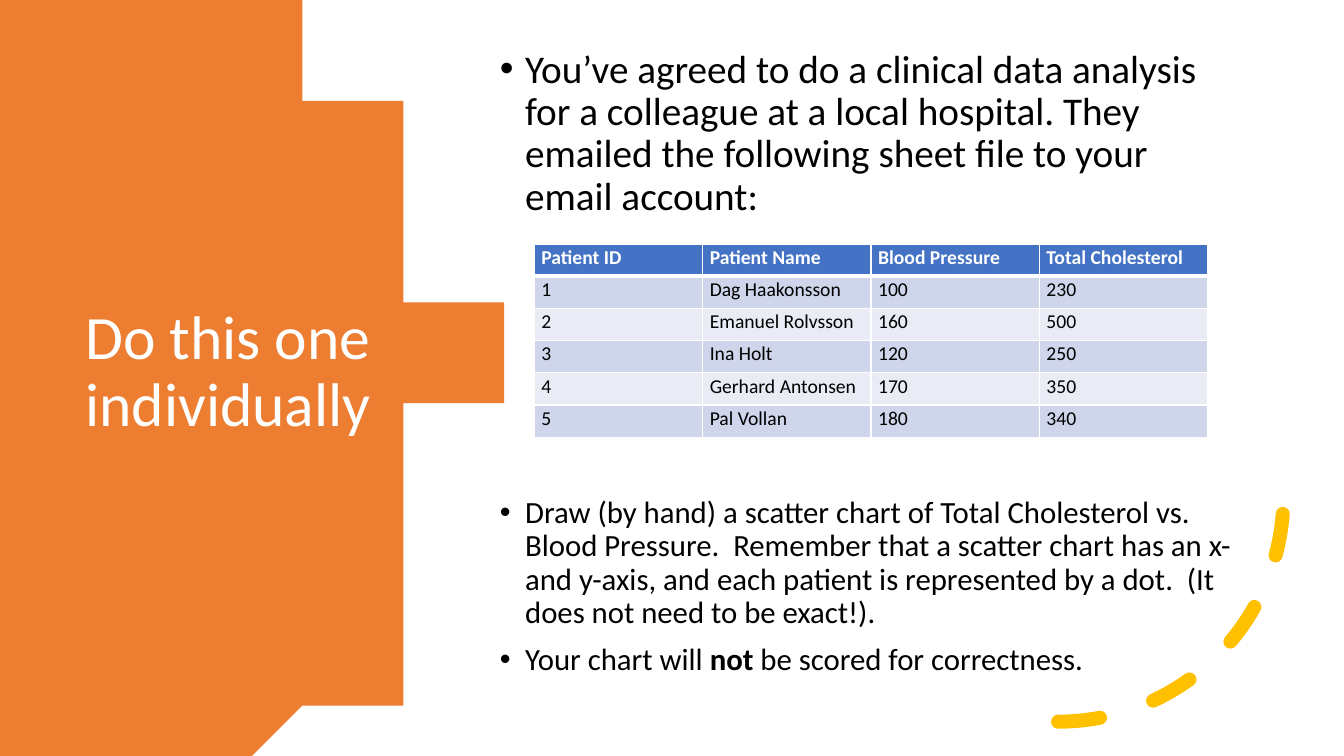
import math

from lxml import etree
from pptx import Presentation
from pptx.dml.color import RGBColor
from pptx.enum.dml import MSO_LINE
from pptx.enum.shapes import MSO_SHAPE
from pptx.enum.text import MSO_ANCHOR
from pptx.oxml.ns import qn
from pptx.util import Inches, Pt

ARC = MSO_SHAPE.ARC
DASH = MSO_LINE.DASH
TOP, MIDDLE = MSO_ANCHOR.TOP, MSO_ANCHOR.MIDDLE

FONT = "Calibri"
ORANGE, GOLD, BLUE = "ED7D31", "FFC000", "4472C4"
BANDS = ("CFD5EA", "E9EBF5")
WHITE, BLACK = "FFFFFF", "000000"

PATIENTS = [
    ("Patient ID", "Patient Name", "Blood Pressure", "Total Cholesterol"),
    ("1", "Dag Haakonsson", "100", "230"),
    ("2", "Emanuel Rolvsson", "160", "500"),
    ("3", "Ina Holt", "120", "250"),
    ("4", "Gerhard Antonsen", "170", "350"),
    ("5", "Pal Vollan", "180", "340"),
]
REQUEST = [
    [("You’ve agreed to do a clinical data analysis for a colleague at a local "
      "hospital. They emailed the following sheet file to your email account:", False)],
]
TASKS = [
    [("Draw (by hand) a scatter chart of Total Cholesterol vs. Blood Pressure.  "
      "Remember that a scatter chart has an x- and y-axis, and each patient is "
      "represented by a dot.  (It does not need to be exact!).", False)],
    [("Your chart will ", False), ("not", True), (" be scored for correctness.", False)],
]


def color(code):
    return RGBColor.from_string(code)


def write(para, text, size=22, fill=BLACK, bold=False, spacing=0.9):
    """Add one formatted span of text to a paragraph."""
    span = para.add_run()
    span.text = text
    span.font.name = FONT
    span.font.size = Pt(size)
    span.font.bold = bold
    span.font.color.rgb = color(fill)
    para.line_spacing = spacing


def add_text_frame(page, box, anchor):
    frame = page.shapes.add_textbox(*map(Inches, box)).text_frame
    frame.word_wrap = True
    frame.vertical_anchor = anchor
    return frame


def add_bullet(para):
    props = para._p.get_or_add_pPr()
    props.set("marL", str(Inches(0.25)))
    props.set("indent", str(-Inches(0.25)))
    etree.SubElement(props, qn("a:buFont")).set("typeface", "Arial")
    etree.SubElement(props, qn("a:buChar")).set("char", "•")


def add_title_panel(page, box):
    """Orange panel whose right edge is a circle arc, with the title on it."""
    left, top, width, height = box
    center_x, center_y = left + 0.15, top + height / 2
    radius = left + width - center_x
    reach = math.asin(height / 2 / radius)
    steps = 120
    angles = [reach * (2 * step / steps - 1) for step in range(steps + 1)]
    edge = [(center_x + radius * math.cos(angle), center_y + radius * math.sin(angle))
            for angle in angles]
    outline = page.shapes.build_freeform(left, top, scale=Inches(1))
    outline.add_line_segments(edge + [(left, top + height)], close=True)
    panel = outline.convert_to_shape()
    panel.shadow.inherit = False
    panel.fill.solid()
    panel.fill.fore_color.rgb = color(ORANGE)
    panel.line.fill.background()

    frame = add_text_frame(page, (left + 0.75, top + 1.26, 3.5, 4.88), MIDDLE)
    write(frame.paragraphs[0], "Do this one individually", size=44, fill=WHITE)


def add_dashed_arc(page, box):
    """Gold dashed quarter circle, flipped to the lower right."""
    arc = page.shapes.add_shape(ARC, *map(Inches, box))
    arc.shadow.inherit = False
    arc.fill.background()
    arc.line.color.rgb = color(GOLD)
    arc.line.width = Pt(10)
    arc.line.dash_style = DASH
    arc.line._get_or_add_ln().set("cap", "rnd")
    arc._element.spPr.find(qn("a:xfrm")).set("flipV", "1")


def add_bullets(page, box, items, size):
    frame = add_text_frame(page, box, TOP)
    frame.margin_top = 0
    for index, spans in enumerate(items):
        para = frame.add_paragraph() if index else frame.paragraphs[0]
        para.space_before = Pt(10 if index else 0)
        for text, bold in spans:
            write(para, text, size=size, bold=bold)
        add_bullet(para)


def add_borders(cell, widths):
    """White cell borders; widths are points for left, right, top, bottom."""
    props = cell._tc.get_or_add_tcPr()
    for index, (side, width) in enumerate(zip("LRTB", widths)):
        border = etree.Element(qn(f"a:ln{side}"), w=str(Pt(width)))
        solid = etree.SubElement(border, qn("a:solidFill"))
        etree.SubElement(solid, qn("a:srgbClr")).set("val", WHITE)
        props.insert(index, border)


def add_patient_table(page, box):
    left, top, width, height = map(Inches, box)
    table = page.shapes.add_table(len(PATIENTS), len(PATIENTS[0]),
                                  left, top, width, height).table
    for row, values in enumerate(PATIENTS):
        header = row == 0
        for column, value in enumerate(values):
            cell = table.cell(row, column)
            cell.margin_left = cell.margin_right = Inches(0.07)
            cell.margin_top = cell.margin_bottom = 0
            cell.fill.solid()
            cell.fill.fore_color.rgb = color(BLUE if header else BANDS[(row - 1) % 2])
            add_borders(cell, (1, 1, 3 if row == 1 else 1, 3 if header else 1))
            write(cell.text_frame.paragraphs[0], value, size=14, bold=header,
                  fill=WHITE if header else BLACK, spacing=1.07)


def build_exercise(page, box):
    """Title panel on the left; request, table and tasks on the right."""
    left, top, width, height = box
    add_title_panel(page, (left, top, 4.56, height))
    add_dashed_arc(page, (left + 8.26, top + 2.69, 4.47, 4.47))
    add_bullets(page, (left + 4.86, top + 0.49, 7.55, 1.75), REQUEST, 28)
    add_patient_table(page, (left + 5.3, top + 2.42, 6.68, 1.92))
    add_bullets(page, (left + 4.86, top + 4.93, 7.55, 1.95), TASKS, 22)


deck = Presentation()
deck.slide_width, deck.slide_height = Inches(13.33), Inches(7.5)
slide = deck.slides.add_slide(deck.slide_layouts[6])
build_exercise(slide, (0, 0, 13.33, 7.5))
deck.save("out.pptx")
